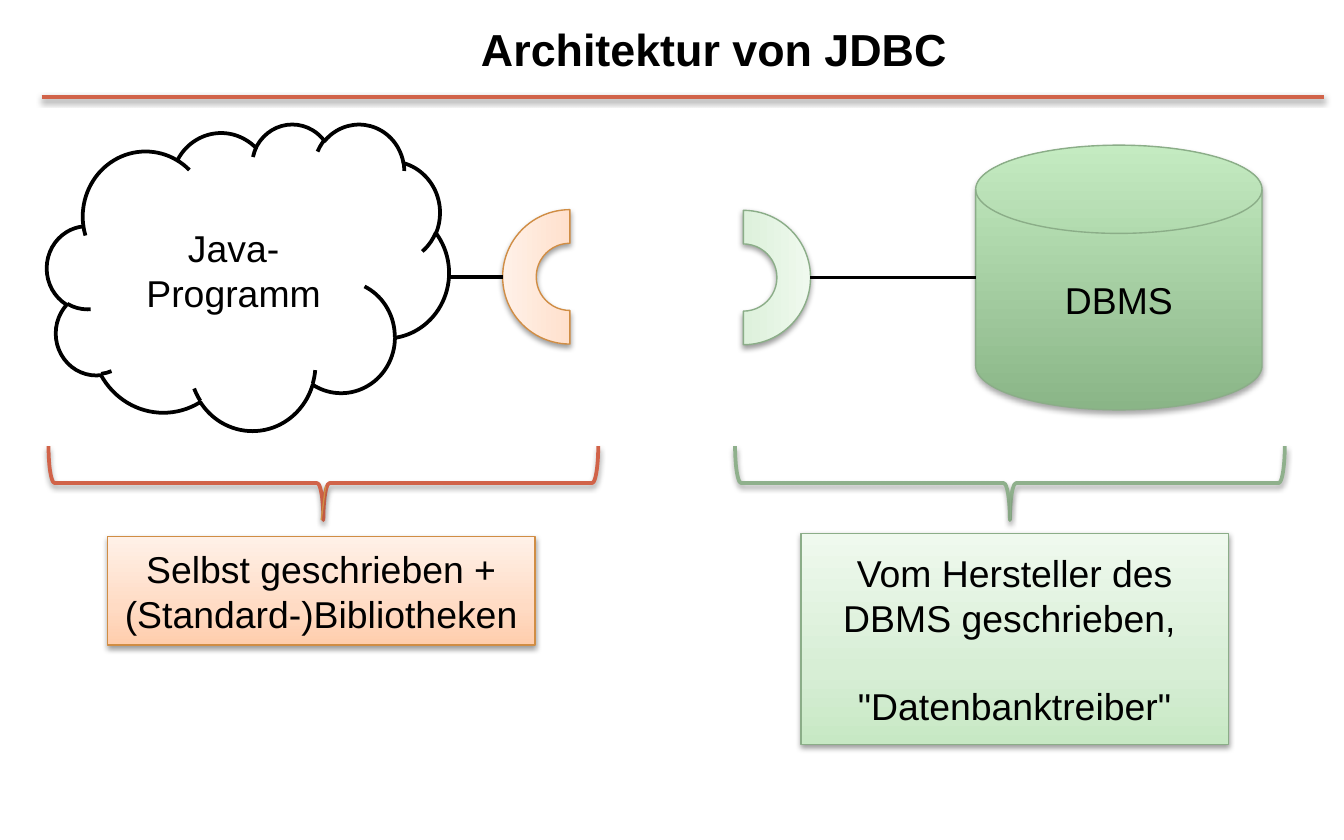
from lxml.etree import SubElement
from pptx import Presentation
from pptx.dml.color import RGBColor
from pptx.enum.shapes import MSO_CONNECTOR, MSO_SHAPE
from pptx.enum.text import MSO_ANCHOR, PP_ALIGN
from pptx.oxml.ns import qn
from pptx.util import Pt

FONT = "Arial"
BLACK, WHITE, RED, SAGE = "000000", "FFFFFF", "D16349", "8FB08C"
ORANGE_EDGE, GREEN_EDGE = "D08D44", "8BAD88"
ORANGE_FILL = [(0, "FFCDAC"), (35, "FFDBC4"), (100, "FFF1E8")]
GREEN_FILL = [(0, "C7E8C4"), (35, "D7EED5"), (100, "EFF9EE")]
DISK_FILL = [(0, "8AB587"), (100, "C4EBC1")]
SOFT_SHADOW = (38, 1.6)  # opacity in percent, distance in points
DISK_SHADOW = (35, 1.8)
BRACE_DEPTH = 39.6


def color(hex_string):
    return RGBColor.from_string(hex_string)


def set_effects(shape, shadow):
    """Replace the theme shadow by the given one, or by none."""
    effects = SubElement(shape.element.spPr, qn("a:effectLst"))
    if shadow:
        opacity, distance = shadow
        outer = SubElement(effects, qn("a:outerShdw"), blurRad=str(Pt(3.1)),
                           dist=str(Pt(distance)), dir="5400000", rotWithShape="0")
        tint = SubElement(outer, qn("a:srgbClr"), val=BLACK)
        SubElement(tint, qn("a:alpha"), val=str(opacity * 1000))


def set_gradient(shape, stops):
    """Fill from the bottom (0 %) to the top (100 %)."""
    shape.fill.gradient()
    shape.fill.gradient_angle = 90
    stop_list = shape.element.spPr.find(qn("a:gradFill")).find(qn("a:gsLst"))
    for stop in list(stop_list):
        stop_list.remove(stop)
    for position, hex_string in stops:
        stop = SubElement(stop_list, qn("a:gs"), pos=str(position * 1000))
        SubElement(stop, qn("a:srgbClr"), val=hex_string)


def add_text(shape, lines, size=20, bold=False, gap=0):
    frame = shape.text_frame
    frame.word_wrap = True
    frame.vertical_anchor = MSO_ANCHOR.MIDDLE
    for index, line in enumerate(lines):
        paragraph = frame.add_paragraph() if index else frame.paragraphs[0]
        paragraph.alignment = PP_ALIGN.CENTER
        if index:
            paragraph.space_before = Pt(gap)
        run = paragraph.add_run()
        run.text = line
        run.font.name = FONT
        run.font.size = Pt(size)
        run.font.bold = bold
        run.font.color.rgb = color(BLACK)


def add_shape(shapes, kind, box, fill, edge, width=0.75, shadow=SOFT_SHADOW, rotation=0):
    shape = shapes.add_shape(kind, *map(Pt, box))
    shape.rotation = rotation
    if fill is None:
        shape.fill.background()
    elif isinstance(fill, str):
        shape.fill.solid()
        shape.fill.fore_color.rgb = color(fill)
    else:
        set_gradient(shape, fill)
    shape.line.color.rgb = color(edge)
    shape.line.width = Pt(width)
    set_effects(shape, shadow)
    return shape


def add_line(shapes, left, right, y, hex_string=BLACK, shadow=None):
    line = shapes.add_connector(MSO_CONNECTOR.STRAIGHT, Pt(left), Pt(y), Pt(right), Pt(y))
    line.line.color.rgb = color(hex_string)
    line.line.width = Pt(2)
    set_effects(line, shadow)


def add_heading(slide, left, top, width, height):
    title = slide.shapes.title
    title.left, title.top, title.width, title.height = map(Pt, (left, top, width, height))
    add_text(title, ["Architektur von JDBC"], size=24, bold=True)
    # Rule below the title
    add_line(slide.shapes, left - 48.3, left + 638.6, top + height, RED, SOFT_SHADOW)


def add_program(slide, left, top, width, height):
    """Cloud on the left, socket on the right."""
    shapes = slide.shapes.add_group_shape().shapes
    cloud_width, socket, middle = 215.3, 72, top + height / 2
    socket_left = left + width - socket
    cloud = add_shape(shapes, MSO_SHAPE.CLOUD, (left, top, cloud_width, height),
                      WHITE, BLACK, 2, None)
    add_text(cloud, ["Java-Programm"])
    add_shape(shapes, MSO_SHAPE.BLOCK_ARC, (socket_left, middle - socket / 2, socket, socket),
              ORANGE_FILL, ORANGE_EDGE, rotation=270)
    add_line(shapes, left + cloud_width, socket_left, middle)


def add_database(slide, left, top, width, height):
    """Socket on the left, disk on the right."""
    shapes = slide.shapes.add_group_shape().shapes
    disk_width, socket, middle = 153.4, 72, top + height / 2
    disk_left = left + width - disk_width
    disk = add_shape(shapes, MSO_SHAPE.FLOWCHART_MAGNETIC_DISK,
                     (disk_left, top, disk_width, height),
                     DISK_FILL, GREEN_EDGE, shadow=DISK_SHADOW)
    add_text(disk, ["DBMS"])
    add_shape(shapes, MSO_SHAPE.BLOCK_ARC, (left, middle - socket / 2, socket, socket),
              GREEN_FILL, GREEN_EDGE, rotation=90)
    add_line(shapes, left + socket, disk_left, middle)


def add_explanation(slide, left, top, width, callout_box, pointer, lines, fill, edge, brace_color):
    """Brace across the given width with a callout below it."""
    # The upright brace is turned about its centre
    brace_box = (left + (width - BRACE_DEPTH) / 2, top + (BRACE_DEPTH - width) / 2,
                 BRACE_DEPTH, width)
    add_shape(slide.shapes, MSO_SHAPE.LEFT_BRACE, brace_box, None, brace_color, 2, rotation=270)
    x, y, box_width, box_height = callout_box
    callout = add_shape(slide.shapes, MSO_SHAPE.LINE_CALLOUT_1,
                        (left + x, top + y, box_width, box_height), fill, edge)
    for index, value in enumerate(pointer):
        callout.adjustments[index] = value
    add_text(callout, lines, gap=23)


def main():
    presentation = Presentation()
    presentation.slide_width, presentation.slide_height = Pt(720), Pt(450)
    slide = presentation.slides.add_slide(presentation.slide_layouts[5])
    add_heading(slide, 70.6, 0, 623.5, 51.8)
    add_program(slide, 25.2, 66.2, 316.1, 164.2)
    add_database(slide, 362.2, 77.8, 313.9, 141.8)
    add_explanation(slide, 26, 239, 294.5, (31.6, 48.3, 229, 58.3), (-0.15, 0.5, -0.46, 0.51),
                    ["Selbst geschrieben + (Standard-)Bibliotheken"],
                    ORANGE_FILL, ORANGE_EDGE, RED)
    add_explanation(slide, 393.8, 239, 294.5, (35.3, 46.8, 229, 113), (-0.07, 0.49, -0.18, 0.49),
                    ["Vom Hersteller des DBMS geschrieben, ", "\"Datenbanktreiber\""],
                    GREEN_FILL, GREEN_EDGE, SAGE)
    presentation.save("out.pptx")


if __name__ == "__main__":
    main()
